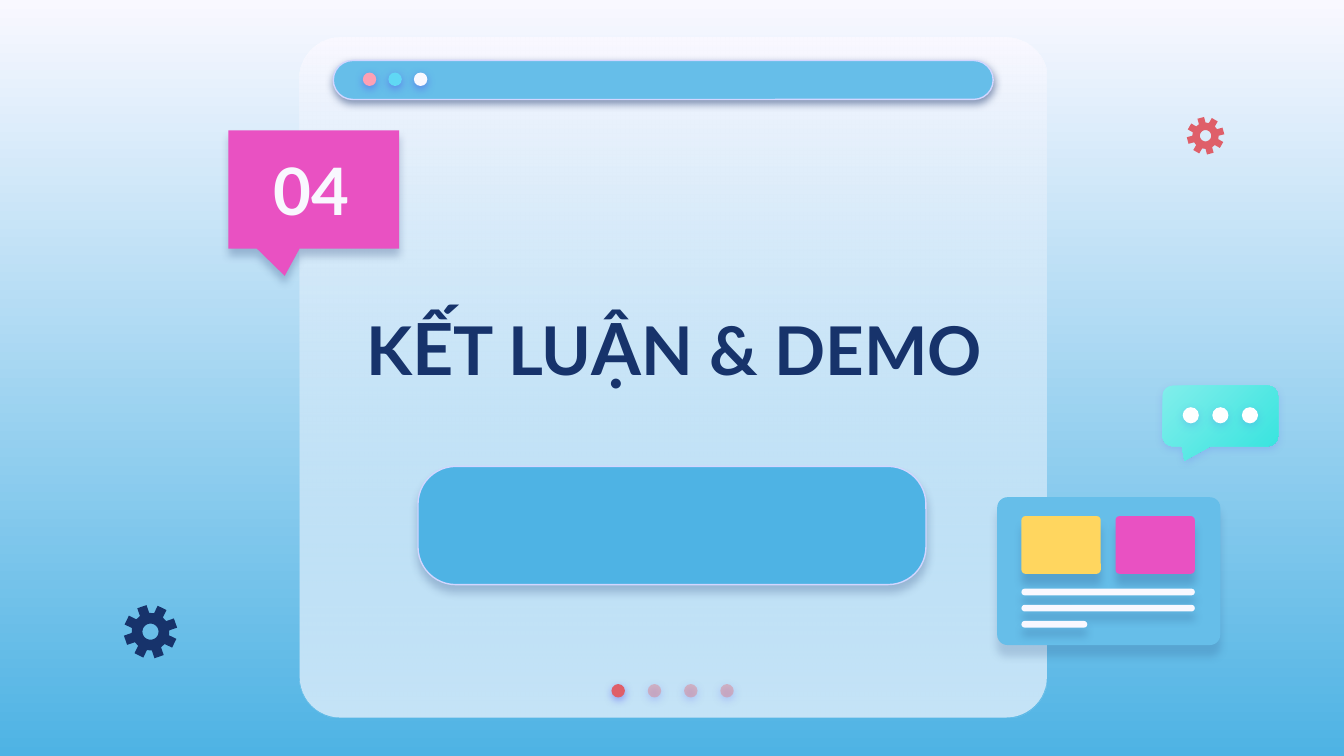
"""Build the closing section slide with a browser window, callouts and gears."""
from math import cos, radians, sin

from lxml import etree
from pptx import Presentation
from pptx.dml.color import RGBColor
from pptx.enum.shapes import MSO_SHAPE
from pptx.enum.text import MSO_ANCHOR, PP_ALIGN
from pptx.oxml.ns import qn
from pptx.util import Inches, Pt

ROUND = MSO_SHAPE.ROUNDED_RECTANGLE
OVAL = MSO_SHAPE.OVAL
BUBBLE = MSO_SHAPE.ROUNDED_RECTANGULAR_CALLOUT
MIDDLE = MSO_ANCHOR.MIDDLE
BOTTOM = MSO_ANCHOR.BOTTOM
CENTER = PP_ALIGN.CENTER

COLORS = {
    "pale": "F9F8FF", "sky": "4EB3E4", "blue": "66BEE9", "navy": "17336B",
    "edge": "D2D6FF", "violet": "5352EE", "red": "DF5F69", "rose": "E27B83",
    "pink": "FDA0B4", "cyan": "60D8F4", "magenta": "E951C2", "yellow": "FFD65F",
    "mint": "81EEEB", "teal": "3AE4DF", "white": "FFFFFF",
}
RGB = {name: RGBColor.from_string(code) for name, code in COLORS.items()}
GLOW = ("violet", 50, 1.5)
SOFT = ("violet", 18, 1.5)

deck = Presentation()
deck.slide_width = Inches(10)
deck.slide_height = Inches(10) * 9 // 16
slide = deck.slides.add_slide(deck.slide_layouts[6])
shapes = slide.shapes


def put(kind, box, tint, adjs=(), shade=None, alpha=None, edge=None, angle=270):
    shape = shapes.add_shape(kind, *map(Inches, box))
    for i, value in enumerate(adjs):
        shape.adjustments[i] = value
    if isinstance(tint, tuple):
        shape.fill.gradient()
        shape.fill.gradient_angle = angle
        for stop, name in zip(shape.fill.gradient_stops, tint):
            stop.color.rgb = RGB[name]
    else:
        shape.fill.solid()
        shape.fill.fore_color.rgb = RGB[tint]
    props = shape._element.spPr
    if alpha:
        last = list(props.iter(qn("a:srgbClr")))[-1]
        etree.SubElement(last, qn("a:alpha"), val=str(alpha * 1000))
    if edge:
        shape.line.color.rgb = RGB[edge]
        shape.line.width = Pt(0.75)
    else:
        shape.line.fill.background()
    shape.shadow.inherit = False
    if shade:
        name, depth, dist = shade
        cast = etree.SubElement(
            props.find(qn("a:effectLst")), qn("a:outerShdw"),
            blurRad=str(Pt(4.5)), dist=str(Pt(dist)), dir="5400000",
            algn="bl", rotWithShape="0")
        color = etree.SubElement(cast, qn("a:srgbClr"), val=COLORS[name])
        etree.SubElement(color, qn("a:alpha"), val=str(depth * 1000))


def write(box, runs, size, tint, anchor):
    frame = shapes.add_textbox(*map(Inches, box)).text_frame
    frame.word_wrap = True
    frame.vertical_anchor = anchor
    frame.margin_left = frame.margin_right = Inches(0.1)
    frame.margin_top = frame.margin_bottom = Inches(0.1)
    para = frame.paragraphs[0]
    para.alignment = CENTER
    para.font.name = "Lato"
    para.font.bold = True
    para.font.size = Pt(size)
    para.font.color.rgb = RGB[tint]
    for text, large in runs:
        run = para.add_run()
        run.text = text
        if large:
            run.font.size = Pt(large)


back = slide.background.fill
back.gradient()
back.gradient_angle = 270
for stop, name in zip(back.gradient_stops, ("pale", "sky")):
    stop.color.rgb = RGB[name]

panel = (2.23, 0.28, 5.56, 5.06)
put(ROUND, panel, "pale", [0.06])
put(ROUND, panel, ("pale", "blue"), [0.06], alpha=35)
for i in range(4):
    dot = (4.55 + 0.27 * i, 5.09, 0.1, 0.1)
    put(OVAL, dot, "rose" if i else "red", shade=GLOW, alpha=44 if i else None)

put(ROUND, (2.48, 0.45, 4.91, 0.29), "blue", [0.5], ("navy", 50, 1.5), edge="edge")
for i, tint in enumerate(("pink", "cyan", "pale")):
    put(OVAL, (2.7 + 0.19 * i, 0.54, 0.1, 0.1), tint, shade=GLOW)

put(BUBBLE, (1.7, 0.97, 1.27, 0.88), "magenta", [-0.17, 0.73, 0], ("navy", 25, 3.8))
put(ROUND, (3.11, 3.47, 3.78, 0.88), "sky", [0.32], ("navy", 24, 3.8), edge="edge")
title = [("K", None), ("Ế", 38.5), ("T LU", None), ("Ậ", 38.5), ("N & DEMO", None)]
write((2.17, 1.67, 5.69, 1.82), title, 36, "navy", MIDDLE)

put(ROUND, (7.42, 3.7, 1.66, 1.1), "blue", [0.07], ("navy", 17, 6))
for left, tint in ((7.6, "yellow"), (8.3, "magenta")):
    put(ROUND, (left, 3.84, 0.59, 0.43), tint, [0.07], ("navy", 20, 6))
for i, width in enumerate((1.29, 1.29, 0.49)):
    put(ROUND, (7.6, 4.38 + 0.12 * i, width, 0.05), "pale", [0.5], ("navy", 21, 4.5))

put(BUBBLE, (8.65, 2.87, 0.86, 0.45), ("mint", "teal"), [-0.31, 0.74, 0.17], SOFT,
    angle=315)
for i in range(3):
    put(OVAL, (8.8 + 0.22 * i, 3.03, 0.12, 0.12), "white", shade=SOFT)

for x, y, size, turn, tint in ((1.12, 4.7, 0.2, -19, "navy"),
                               (8.97, 1.01, 0.14, -15, "red")):
    teeth = [(turn + 45 * i + step, size * part) for i in range(8)
             for step, part in ((-15, 0.7), (-10.5, 1), (10.5, 1), (15, 0.7))]
    hole = [(-10 * i, size * 0.3) for i in range(36)]
    rim, core = [[(Inches(x + r * sin(radians(a))), Inches(y - r * cos(radians(a))))
                  for a, r in ring] for ring in (teeth, hole)]
    pen = shapes.build_freeform(*rim[0])
    pen.add_line_segments(rim[1:])
    pen.move_to(*core[0])
    pen.add_line_segments(core[1:])
    gear = pen.convert_to_shape()
    gear.fill.solid()
    gear.fill.fore_color.rgb = RGB[tint]
    gear.line.fill.background()
    gear.shadow.inherit = False

write((1.79, 1.02, 1.06, 0.78), [("04", None)], 35, "pale", BOTTOM)

deck.save("out.pptx")
